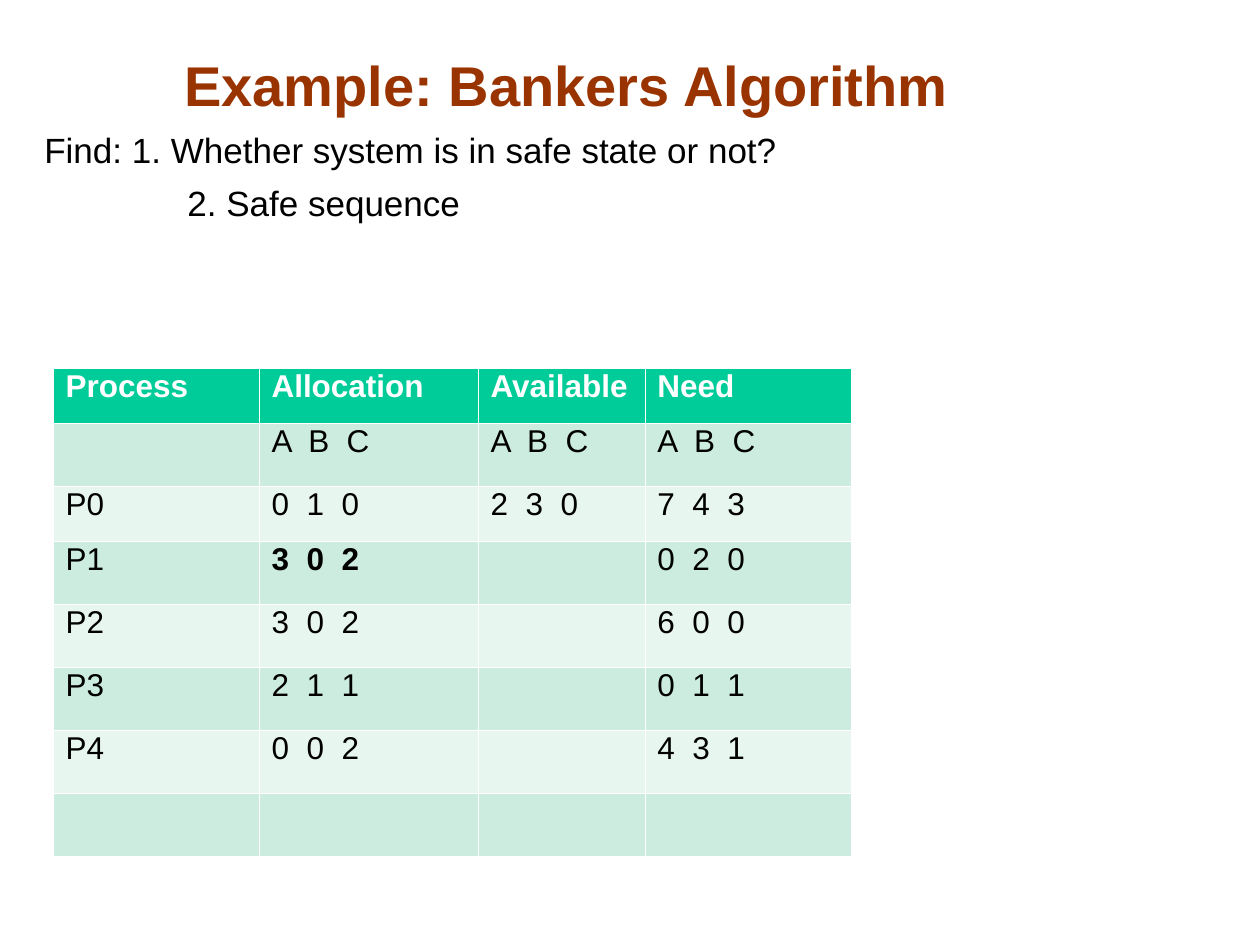
from dataclasses import dataclass

from lxml import etree
from pptx import Presentation
from pptx.dml.color import RGBColor
from pptx.enum.text import MSO_ANCHOR, PP_ALIGN
from pptx.oxml.ns import qn
from pptx.util import Emu, Pt

CENTER, LEFT = PP_ALIGN.CENTER, PP_ALIGN.LEFT
TOP, BOTTOM = MSO_ANCHOR.TOP, MSO_ANCHOR.BOTTOM

TITLE = "Example: Bankers Algorithm"
# text, left indent in px
TASKS = [
    ("Find: 1. Whether system is in safe state or not?", 0),
    ("2. Safe sequence", 143),
]
HEADERS = ("Process", "Allocation", "Available", "Need")
RESOURCES = "ABC"
# process, allocation, available, need (one digit per resource)
PROCESSES = [
    ("", RESOURCES, RESOURCES, RESOURCES),
    ("P0", "010", "230", "743"),
    ("P1", "302", "", "020"),
    ("P2", "302", "", "600"),
    ("P3", "211", "", "011"),
    ("P4", "002", "", "431"),
    ("", "", "", ""),
]
BOLD_CELLS = {(3, 1)}

PX = 914400 // 126
SLIDE_SIZE = (1260, 945)
TITLE_BOX = (10, 42, 1113, 83)
TASK_BOX = (32, 126, 1197, 777)
TABLE_ORIGIN = (53, 368)
COLUMN_WIDTHS = (206, 219, 167, 206)
ROW_HEIGHTS = (55, 63, 55, 63, 63, 63, 63, 63)


@dataclass(frozen=True)
class Theme:
    font: str = "Arial"
    title: str = "993300"
    text: str = "000000"
    white: str = "FFFFFF"
    header: str = "00CC99"
    bands: tuple = ("CBECDE", "E7F6EF")
    title_size: int = 32
    task_size: int = 20
    table_size: int = 18
    border: float = 0.06
    header_border: float = 0.17


THEME = Theme()


def px(value):
    return Emu(value * PX)


def write(paragraph, text, size, color, bold=False, **layout):
    for name, value in layout.items():
        setattr(paragraph, name, value)
    run = paragraph.add_run()
    run.text = text
    for name, value in {"name": THEME.font, "size": Pt(size), "bold": bold}.items():
        setattr(run.font, name, value)
    run.font.color.rgb = RGBColor.from_string(color)


def add_text_frame(slide, box, anchor):
    frame = slide.shapes.add_textbox(*map(px, box)).text_frame
    frame.word_wrap = True
    frame.vertical_anchor = anchor
    return frame


def add_borders(cell, widths):
    """Draw white cell edges; widths maps an edge letter (L, R, T, B) to points."""
    properties = cell._tc.get_or_add_tcPr()
    for edge, width in widths.items():
        line = etree.SubElement(properties, qn(f"a:ln{edge}"), w=str(Pt(width)))
        fill = etree.SubElement(line, qn("a:solidFill"))
        etree.SubElement(fill, qn("a:srgbClr"), val=THEME.white)


def add_process_table(slide):
    rows = [HEADERS] + [
        (name, *("  ".join(digits) for digits in vectors))
        for name, *vectors in PROCESSES
    ]
    size = (sum(COLUMN_WIDTHS), sum(ROW_HEIGHTS))
    table = slide.shapes.add_table(
        len(rows), len(HEADERS), *map(px, TABLE_ORIGIN + size)
    ).table
    table.first_row = table.horz_banding = False
    for column, width in zip(table.columns, COLUMN_WIDTHS):
        column.width = px(width)
    for r, values in enumerate(rows):
        table.rows[r].height = px(ROW_HEIGHTS[r])
        is_header = r == 0
        color = THEME.white if is_header else THEME.text
        fill = THEME.header if is_header else THEME.bands[(r - 1) % 2]
        edges = dict.fromkeys("LRTB", THEME.border)
        if r < 2:
            edges["B" if is_header else "T"] = THEME.header_border
        for c, value in enumerate(values):
            cell = table.cell(r, c)
            add_borders(cell, edges)
            cell.fill.solid()
            cell.fill.fore_color.rgb = RGBColor.from_string(fill)
            if value:
                bold = is_header or (r, c) in BOLD_CELLS
                write(cell.text_frame.paragraphs[0], value, THEME.table_size,
                      color, bold, line_spacing=0.84)


def main():
    presentation = Presentation()
    presentation.slide_width, presentation.slide_height = map(px, SLIDE_SIZE)
    slide = presentation.slides.add_slide(presentation.slide_layouts[6])

    title = add_text_frame(slide, TITLE_BOX, BOTTOM)
    write(title.paragraphs[0], TITLE, THEME.title_size, THEME.title, True,
          alignment=CENTER, line_spacing=0.93)

    tasks = add_text_frame(slide, TASK_BOX, TOP)
    for i, (text, indent) in enumerate(TASKS):
        paragraph = tasks.add_paragraph() if i else tasks.paragraphs[0]
        write(paragraph, text, THEME.task_size, THEME.text,
              alignment=LEFT, line_spacing=0.93, space_before=Pt(7.9))
        paragraph._p.get_or_add_pPr().set("marL", str(px(indent)))

    add_process_table(slide)
    presentation.save("out.pptx")


if __name__ == "__main__":
    main()
